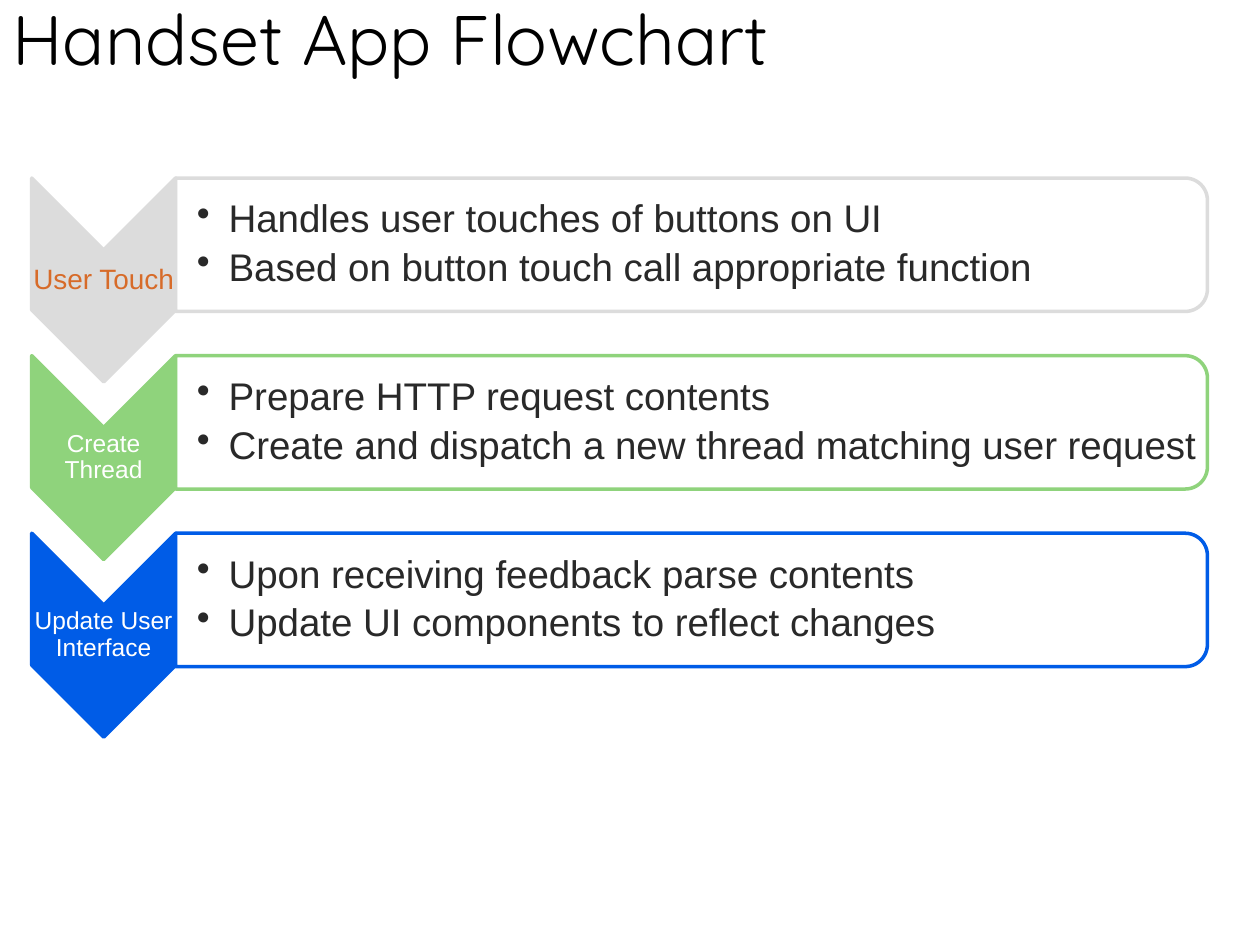
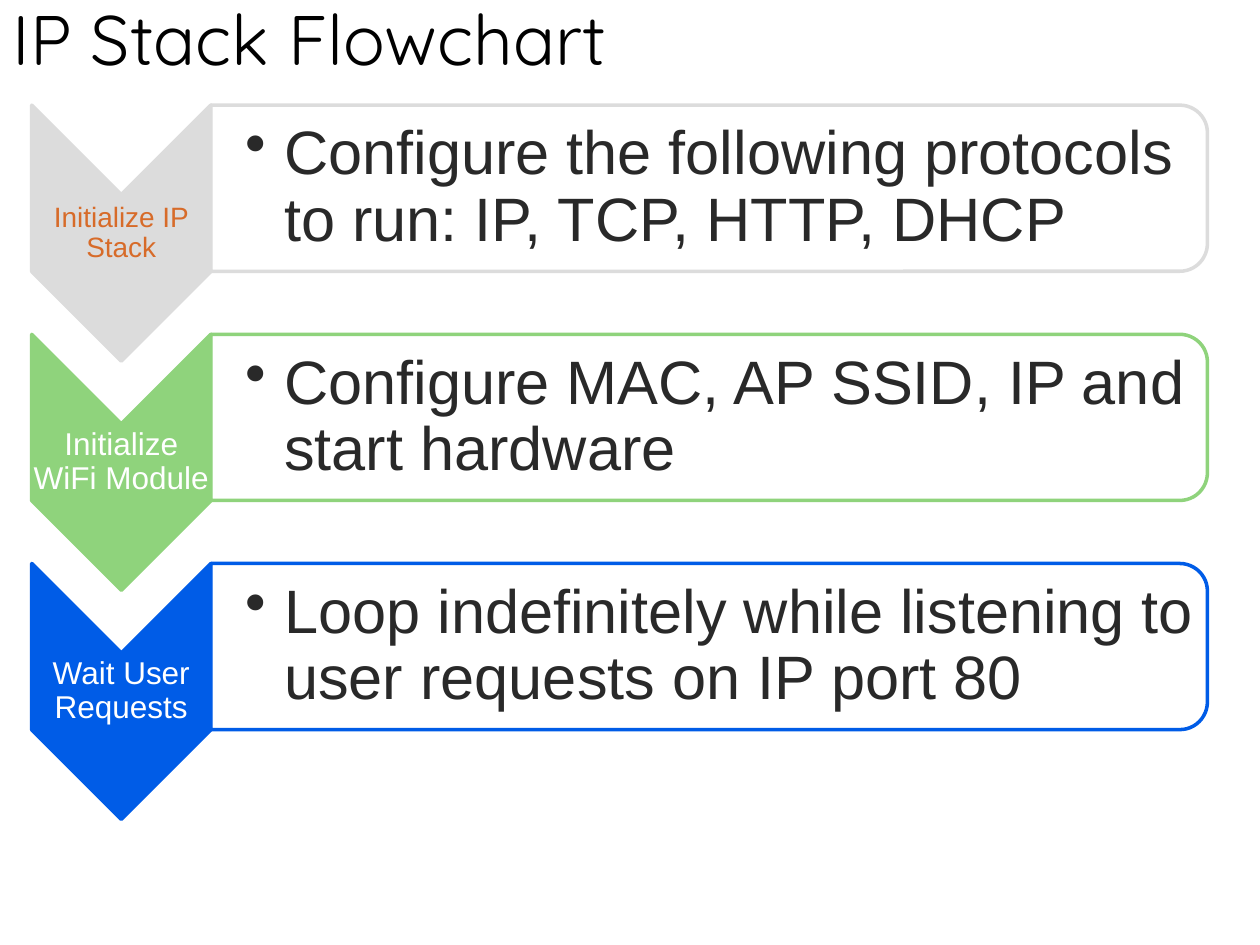
"""Build two flowchart slides with chevron steps and bulleted bars."""
from lxml import etree
from pptx import Presentation
from pptx.dml.color import RGBColor
from pptx.enum.shapes import MSO_SHAPE
from pptx.enum.text import MSO_ANCHOR, MSO_AUTO_SIZE, PP_ALIGN
from pptx.oxml.ns import qn
from pptx.util import Cm, Pt

CHEVRON = MSO_SHAPE.CHEVRON
BAR = MSO_SHAPE.ROUND_2_SAME_RECTANGLE
MIDDLE = MSO_ANCHOR.MIDDLE
FIXED = MSO_AUTO_SIZE.NONE
LEFT, CENTER = PP_ALIGN.LEFT, PP_ALIGN.CENTER

COLORS = {
    "black": "000000", "white": "FFFFFF", "ink": "292929",
    "gray": "DCDCDC", "green": "8FD37C", "blue": "005CE7", "orange": "D76B29",
}
STYLES = [("gray", "orange"), ("green", "white"), ("blue", "white")]
START, END = 0.64, 24.34

FLOWS = [
    {
        "title": "Handset App Flowchart",
        "top": 3.59, "step": 3.58, "wide": 2.9, "long": 4.11, "high": 2.69,
        "size": 22, "inset": 0.43, "indent": 0.64,
        "steps": [
            ("User Touch", 16, ["Handles user touches of buttons on UI",
                                "Based on button touch call appropriate function"]),
            ("Create Thread", 14, ["Prepare HTTP request contents",
                                   "Create and dispatch a new thread matching user request"]),
            ("Update User Interface", 14, ["Upon receiving feedback parse contents",
                                           "Update UI components to reflect changes"]),
        ],
    },
    {
        "title": "IP Stack Flowchart",
        "top": 2.12, "step": 4.62, "wide": 3.61, "long": 5.16, "high": 3.35,
        "size": 35, "inset": 0.69, "indent": 0.79,
        "steps": [
            ("Initialize IP Stack", 16,
             ["Configure the following protocols to run: IP, TCP, HTTP, DHCP"]),
            ("Initialize WiFi Module", 18,
             ["Configure MAC, AP SSID, IP and start hardware"]),
            ("Wait User Requests", 18,
             ["Loop indefinitely while listening to user requests on IP port 80"]),
        ],
    },
]


def rgb(name):
    return RGBColor.from_string(COLORS[name])


def add_run(para, text, font, size, color):
    run = para.add_run()
    run.text = text
    run.font.name = font
    run.font.size = Pt(size)
    run.font.color.rgb = rgb(color)


def add_title(slide, text):
    title = slide.shapes.title
    title.left, title.top, title.width, title.height = Cm(0), Cm(-0.2), Cm(25.4), Cm(1.9)
    frame = title.text_frame
    frame.auto_size = FIXED
    frame.vertical_anchor = MIDDLE
    para = frame.paragraphs[0]
    para.alignment = LEFT
    add_run(para, text, "Quicksand", 40, "black")


def add_turned(slide, kind, left, top, width, height, fill, line):
    """Add a shape turned by 90 degrees that covers the given box."""
    x, y = left + (width - height) / 2, top + (height - width) / 2
    shape = slide.shapes.add_shape(kind, Cm(x), Cm(y), Cm(height), Cm(width))
    shape.rotation = 90
    shape.shadow.inherit = False
    shape.fill.solid()
    shape.fill.fore_color.rgb = rgb(fill)
    shape.line.color.rgb = rgb(line)
    shape.line.width = Pt(2)
    return shape


def add_frame(slide, left, top, width, height, inset, edge):
    frame = slide.shapes.add_textbox(Cm(left), Cm(top), Cm(width), Cm(height)).text_frame
    frame.word_wrap = True
    frame.vertical_anchor = MIDDLE
    frame.margin_left = Cm(inset)
    frame.margin_right = frame.margin_top = frame.margin_bottom = Cm(edge)
    return frame


def add_bullet(para, indent):
    props = para._p.get_or_add_pPr()
    props.set("marL", str(Cm(indent)))
    props.set("indent", str(-Cm(indent)))
    etree.SubElement(props, qn("a:buChar")).set("char", "•")


def add_step(slide, flow, top, step, style):
    label, size, points = step
    color, ink = style
    wide, tall, high = flow["wide"], flow["long"], flow["high"]
    add_turned(slide, CHEVRON, START, top, wide, tall, color, color)
    frame = add_frame(slide, START, top + wide / 2, wide, tall - wide, 0.02, 0.02)
    para = frame.paragraphs[0]
    para.alignment = CENTER
    para.line_spacing = 0.9
    add_run(para, label, "Arial", size, ink)

    left = START + wide
    bar = add_turned(slide, BAR, left, top, END - left, high, "white", color)
    tint = bar.fill._xPr.find(".//" + qn("a:srgbClr"))
    etree.SubElement(tint, qn("a:alpha")).set("val", "90000")
    frame = add_frame(slide, left, top + 0.15, END - left - 0.12, high - 0.3,
                      flow["inset"], 0.04)
    for i, point in enumerate(points):
        para = frame.add_paragraph() if i else frame.paragraphs[0]
        add_bullet(para, flow["indent"])
        para.line_spacing = 0.9
        para.space_after = Pt(4)
        add_run(para, point, "Arial", flow["size"], "ink")


def main():
    deck = Presentation()
    deck.slide_width, deck.slide_height = Cm(25.4), Cm(19.05)
    for flow in FLOWS:
        slide = deck.slides.add_slide(deck.slide_layouts[5])
        add_title(slide, flow["title"])
        for i, (step, style) in enumerate(zip(flow["steps"], STYLES)):
            add_step(slide, flow, flow["top"] + i * flow["step"], step, style)
    deck.save("out.pptx")


if __name__ == "__main__":
    main()
